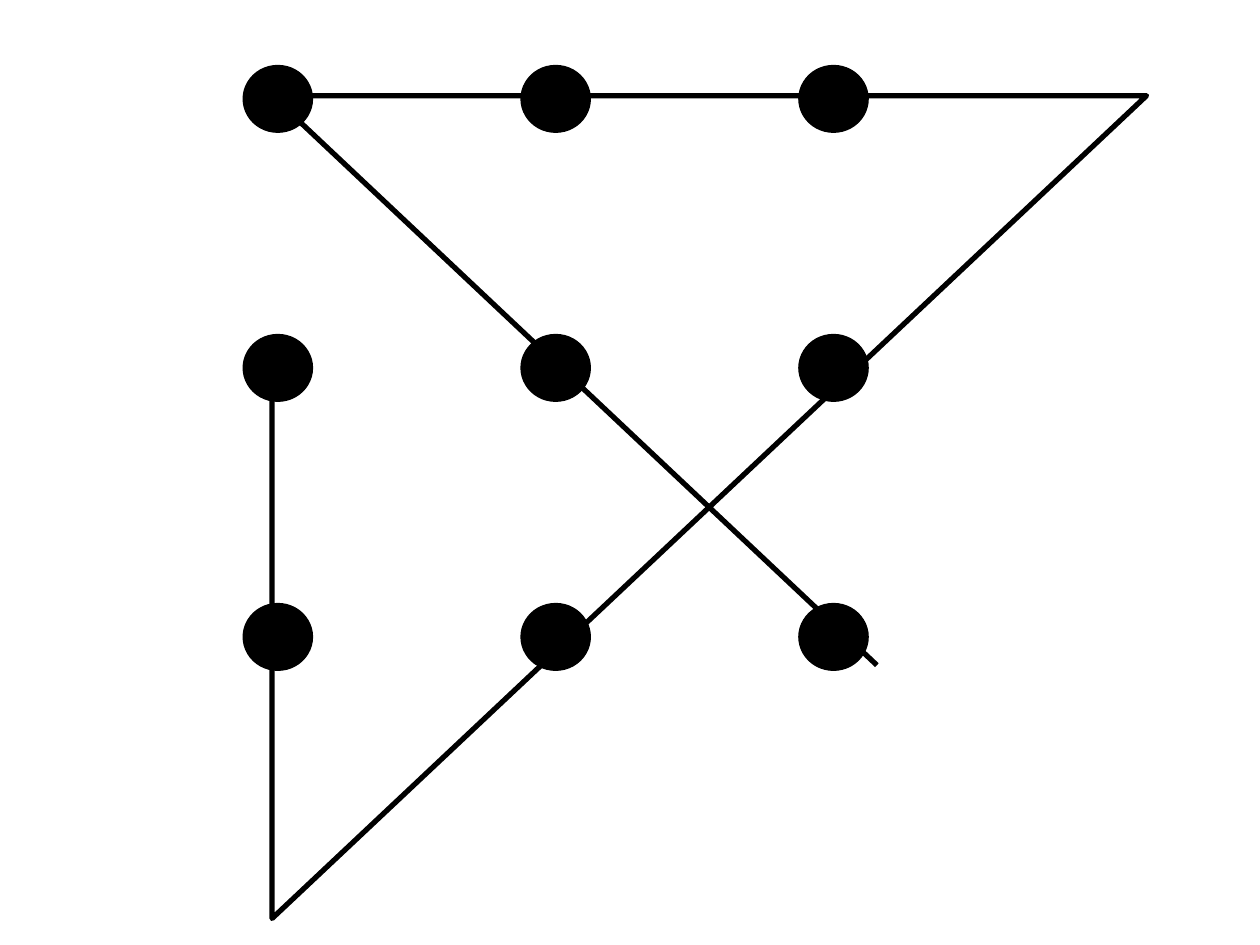
from dataclasses import dataclass
from itertools import product
from typing import NamedTuple

from pptx import Presentation
from pptx.dml.color import RGBColor
from pptx.enum.shapes import MSO_SHAPE as Shape
from pptx.util import Inches, Pt


@dataclass(frozen=True)
class Theme:
    ink: RGBColor = RGBColor(0, 0, 0)
    dot_outline: float = 0.75
    stroke: float = 3


class Point(NamedTuple):
    x: float
    y: float


@dataclass(frozen=True)
class DotGrid:
    origin: Point
    pitch_x: float
    pitch_y: float
    dot_width: float
    dot_height: float
    count: int = 3


THEME = Theme()
DOTS = DotGrid(Point(1.93, 0.52), 2.205, 2.135, 0.55, 0.53)
SOLUTION = [
    Point(2.16, 2.77),
    Point(2.16, 7.29),
    Point(9.1, 0.76),
    Point(2.16, 0.76),
    Point(6.96, 5.28),
]


def style_outline(shape, width: float) -> None:
    shape.shadow.inherit = False
    shape.line.color.rgb = THEME.ink
    shape.line.width = Pt(width)


def draw_dots(shapes, grid: DotGrid) -> None:
    group = shapes.add_group_shape()
    for row, column in product(range(grid.count), repeat=2):
        dot = group.shapes.add_shape(
            Shape.OVAL,
            Inches(grid.origin.x + column * grid.pitch_x),
            Inches(grid.origin.y + row * grid.pitch_y),
            Inches(grid.dot_width),
            Inches(grid.dot_height),
        )
        dot.fill.solid()
        dot.fill.fore_color.rgb = THEME.ink
        style_outline(dot, THEME.dot_outline)


def draw_path(shapes, points: list[Point]) -> None:
    corners = [(Inches(point.x), Inches(point.y)) for point in points]
    builder = shapes.build_freeform(*corners[0])
    builder.add_line_segments(corners[1:], close=False)
    stroke = builder.convert_to_shape()
    stroke.fill.background()
    style_outline(stroke, THEME.stroke)


def main() -> None:
    deck = Presentation()
    deck.slide_width, deck.slide_height = Inches(10), Inches(7.5)
    page = deck.slides.add_slide(deck.slide_layouts[6])
    draw_dots(page.shapes, DOTS)
    draw_path(page.shapes, SOLUTION)
    deck.save("out.pptx")


if __name__ == "__main__":
    main()
